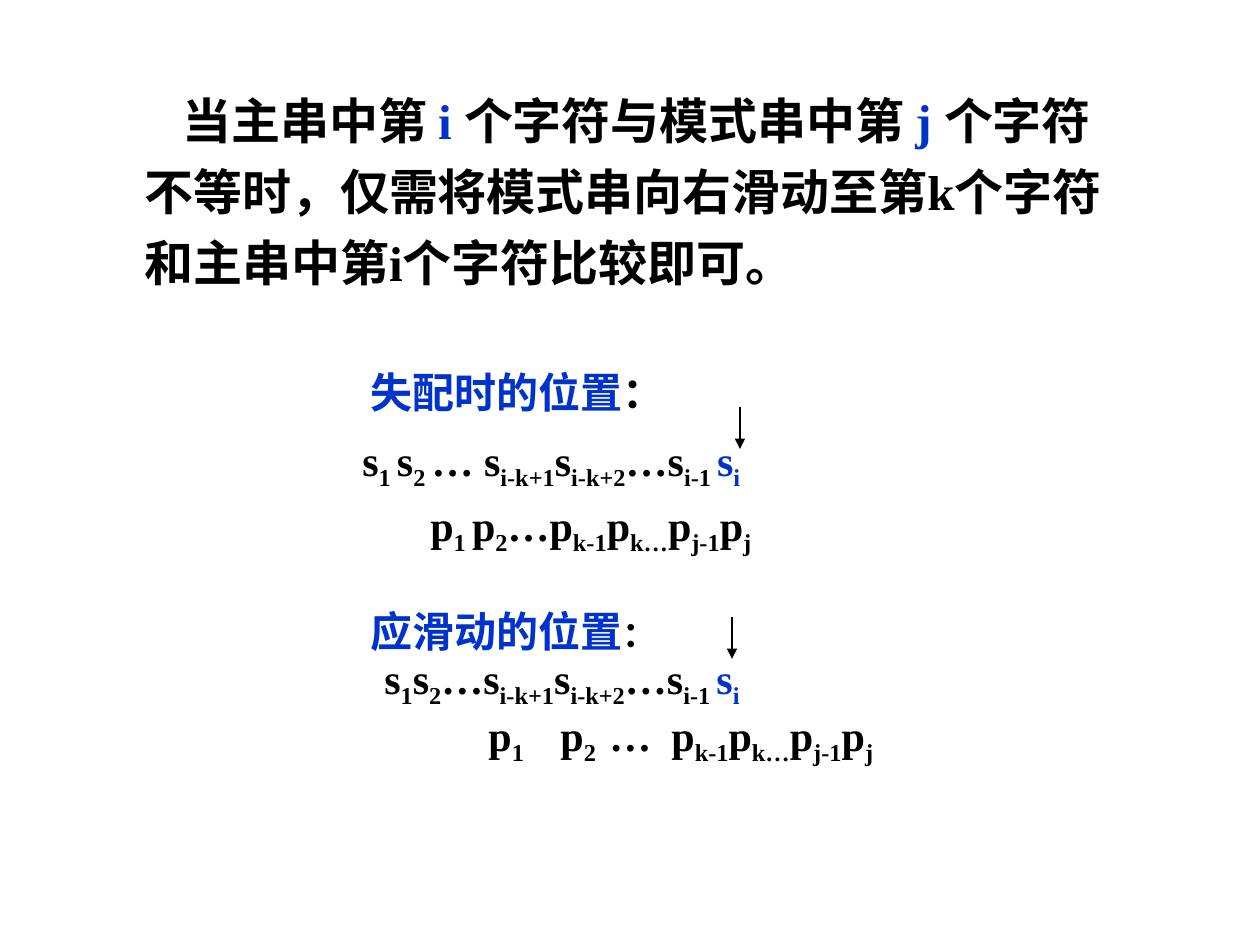
import lxml.etree
import pptx
import pptx.dml.color
import pptx.enum.lang
import pptx.enum.shapes
import pptx.enum.text
import pptx.oxml
import pptx.oxml.ns
import pptx.util

EMU_PER_PX = 914400 / 126
BLACK, BLUE = "000000", "0033CC"
qn = pptx.oxml.ns.qn


def px(n):
    return pptx.util.Emu(round(n * EMU_PER_PX))


def rgb(value):
    return pptx.dml.color.RGBColor.from_string(value)


def add_text(p, text, *, size=24, color=BLACK, sub=False):
    r = p.add_run()
    r.text = text
    r.font.name = "Times New Roman"
    r.font.size = pptx.util.Pt(size)
    r.font.bold = True
    r.font.color.rgb = rgb(color)
    r.font.language_id = pptx.enum.lang.MSO_LANGUAGE_ID.SIMPLIFIED_CHINESE
    if sub:
        r.font._element.set("baseline", "-25000")


class StringMatchSlide:
    def __init__(self, prs):
        self.s = prs.slides.add_slide(prs.slide_layouts[6])

    def box(self, x, y, w, h, wrap=False):
        """Add an empty text box and return its first paragraph."""
        tf = self.s.shapes.add_textbox(px(x), px(y), px(w), px(h)).text_frame
        tf.word_wrap = wrap
        if not wrap:
            tf.auto_size = pptx.enum.text.MSO_AUTO_SIZE.SHAPE_TO_FIT_TEXT
        return tf.paragraphs[0]

    def statement(self, x, y, w, h, parts):
        p = self.box(x, y, w, h, wrap=True)
        p.line_spacing = 1.2
        p.space_before = pptx.util.Pt(14)
        pPr = p._p.get_or_add_pPr()
        pPr.set("marL", str(px(48)))
        pPr.set("indent", str(px(38)))
        for text, color in parts:
            add_text(p, text, size=28, color=color)

    def heading(self, x, y, w, text, colon_size):
        p = self.box(x, y, w, 63)
        add_text(p, text, color=BLUE)
        add_text(p, "：", size=colon_size)

    def sequence(self, x, y, w, text, blue_tail=False, tabs=()):
        """Write text whose parts, split at |, alternate baseline and subscript."""
        p = self.box(x, y, w, 71)
        if tabs:
            tab_list = lxml.etree.SubElement(p._p.get_or_add_pPr(), qn("a:tabLst"))
            for stop in tabs:
                lxml.etree.SubElement(tab_list, qn("a:tab"), pos=str(px(stop)), algn="l")
        parts = text.split("|")
        for i, part in enumerate(parts):
            blue = blue_tail and i >= len(parts) - 2
            add_text(p, part, color=BLUE if blue else BLACK, sub=i % 2 == 1)

    def down_arrow(self, x, y, length):
        line = self.s.shapes.add_connector(
            pptx.enum.shapes.MSO_CONNECTOR.STRAIGHT, px(x), px(y), px(x), px(y + length))
        line.line.color.rgb = rgb(BLACK)
        line.line.width = pptx.util.Pt(0.75)
        lxml.etree.SubElement(line.line._get_or_add_ln(), qn("a:tailEnd"), type="triangle")
        lxml.etree.SubElement(line._element.spPr, qn("a:effectLst"))


def main():
    prs = pptx.Presentation()
    prs.slide_width, prs.slide_height = px(1260), px(945)
    slide = StringMatchSlide(prs)

    slide.statement(84, 73, 1050, 252, [
        ("当主串中第 ", BLACK), ("i ", BLUE),
        ("个字符与模式串中第 ", BLACK), ("j ", BLUE),
        ("个字符不等时，仅需将模式串向右滑动至第k个字符和主串中第i个字符比较即可。", BLACK),
    ])

    slide.heading(358, 360, 319, "失配时的位置", 24)
    slide.down_arrow(740, 407, 42)
    slide.sequence(350, 428, 410, "s|1 |s|2 |… s|i-k+1|s|i-k+2|…s|i-1 |s|i", blue_tail=True)
    slide.sequence(418, 493, 360, "p|1 |p|2|…p|k-1|p|k…|p|j-1|p|j")

    slide.heading(358, 599, 312, "应滑动的位置", 20)
    slide.down_arrow(732, 617, 42)
    slide.sequence(372, 646, 390, "s|1|s|2|…s|i-k+1|s|i-k+2|…s|i-1 |s|i", blue_tail=True)
    slide.sequence(476, 703, 420, "p|1|\tp|2|\t…\tp|k-1|p|k…|p|j-1|p|j", tabs=(72, 121, 183))

    prs.save("out.pptx")


if __name__ == "__main__":
    main()
